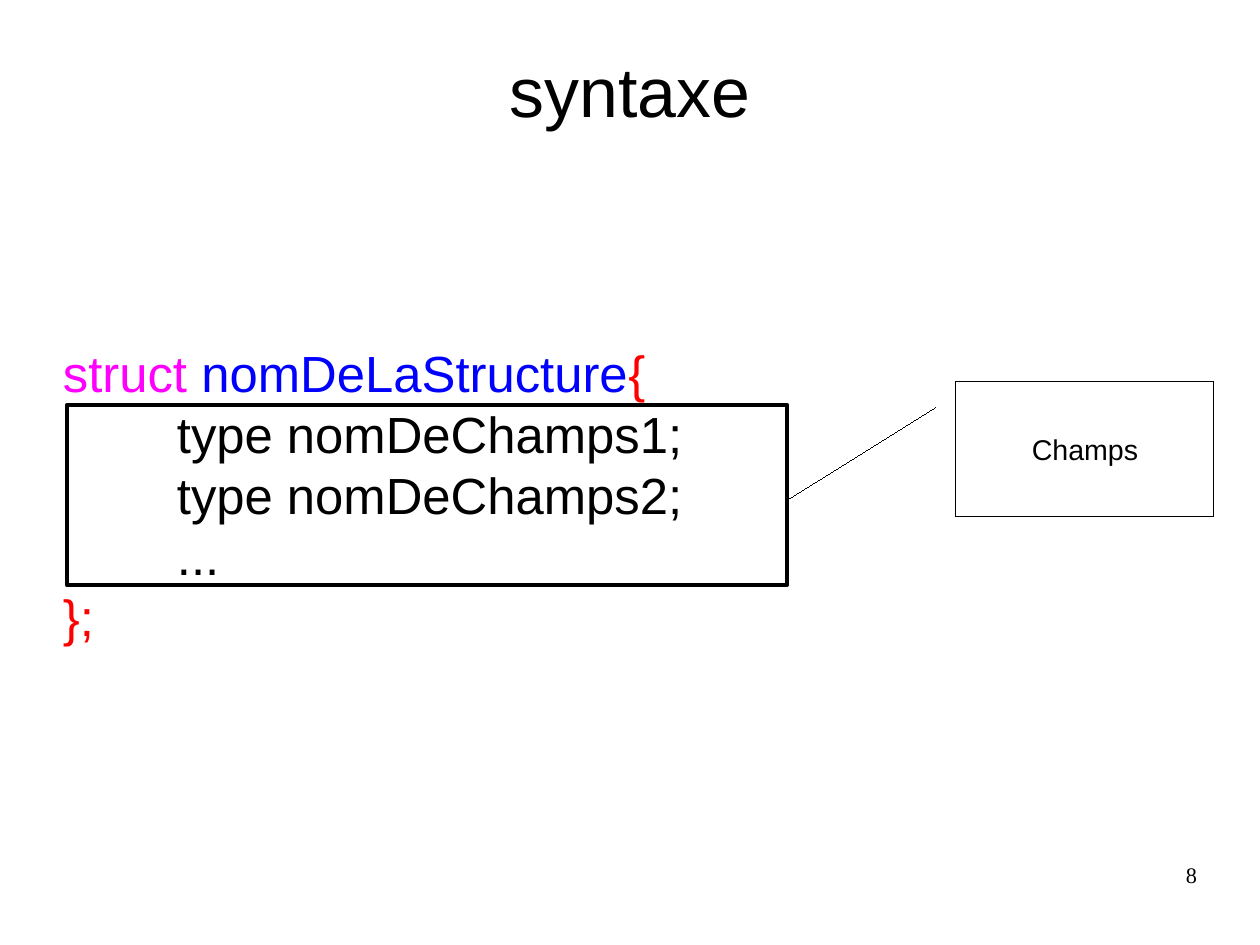
from dataclasses import dataclass

from lxml import etree
from pptx import Presentation
from pptx import util as u
from pptx.dml import color
from pptx.enum import shapes, text
from pptx.oxml import ns

PX = 8000
HAIRLINE = 0.01
BLACK, RED, BLUE, MAGENTA, WHITE = "000000", "FF0000", "0000FF", "FF00FF", "FFFFFF"


@dataclass(frozen=True)
class Area:
    left: int
    top: int
    width: int
    height: int

    def emu(self) -> tuple[int, ...]:
        return tuple(side * PX for side in (self.left, self.top, self.width, self.height))


@dataclass(frozen=True)
class Span:
    wording: str
    ink: str = BLACK


@dataclass(frozen=True)
class Style:
    size: int
    font: str = "Arial"
    align: text.PP_ALIGN = text.PP_ALIGN.LEFT
    anchor: text.MSO_ANCHOR = text.MSO_ANCHOR.MIDDLE
    tab: int = 0
    wrap: bool = True
    margin_x: int = 0
    margin_y: int = 0


@dataclass(frozen=True)
class TextBox:
    area: Area
    lines: list[list[Span]]
    style: Style


@dataclass(frozen=True)
class Outline:
    kind: shapes.MSO_SHAPE
    area: Area
    width: float
    fill: str = ""
    adjustments: tuple[float, ...] = ()


TITLE = TextBox(
    Area(63, 36, 1134, 107), [[Span("syntaxe")]], Style(44, align=text.PP_ALIGN.CENTER)
)
CODE = TextBox(
    Area(63, 221, 1134, 547),
    [
        [Span("struct ", MAGENTA), Span("nomDeLaStructure", BLUE), Span("{", RED)],
        [Span("\ttype nomDeChamps1;")],
        [Span("\ttype nomDeChamps2;")],
        [Span("\t...")],
        [Span("};", RED)],
    ],
    Style(32, tab=114),
)
NUMBER = TextBox(
    Area(903, 861, 294, 65),
    [[Span("8")]],
    Style(14, "Times New Roman", text.PP_ALIGN.RIGHT, text.MSO_ANCHOR.TOP),
)
FIELDS_FRAME = Outline(shapes.MSO_SHAPE.RECTANGLE, Area(67, 405, 720, 180), 2.83)
FIELDS_CALLOUT = Outline(
    shapes.MSO_SHAPE.LINE_CALLOUT_1, Area(956, 382, 258, 135), HAIRLINE, WHITE,
    (0.19, -0.08, 0.87, -0.65),
)
CALLOUT_STYLE = Style(18, align=text.PP_ALIGN.CENTER, wrap=False, margin_x=11, margin_y=6)


def rgb(value: str) -> color.RGBColor:
    return color.RGBColor.from_string(value)


def apply(target, values: dict) -> None:
    for name, value in values.items():
        setattr(target, name, value)


def write(frame, lines: list[list[Span]], style: Style) -> None:
    apply(frame, {
        "word_wrap": style.wrap,
        "vertical_anchor": style.anchor,
        "margin_left": style.margin_x * PX,
        "margin_right": style.margin_x * PX,
        "margin_top": style.margin_y * PX,
        "margin_bottom": style.margin_y * PX,
    })
    for index, line in enumerate(lines):
        para = frame.add_paragraph() if index else frame.paragraphs[0]
        para.alignment = style.align
        if style.tab:
            stops = etree.SubElement(para._p.get_or_add_pPr(), ns.qn("a:tabLst"))
            etree.SubElement(stops, ns.qn("a:tab"), pos=str(style.tab * PX), algn="l")
        for span in line:
            run = para.add_run()
            run.text = span.wording
            apply(run.font, {"name": style.font, "size": u.Pt(style.size)})
            run.font.color.rgb = rgb(span.ink)


def draw_text(page, item: TextBox) -> None:
    box = page.shapes.add_textbox(*item.area.emu())
    write(box.text_frame, item.lines, item.style)


def draw_outline(page, item: Outline):
    shape = page.shapes.add_shape(item.kind, *item.area.emu())
    shape.shadow.inherit = False
    for index, value in enumerate(item.adjustments):
        shape.adjustments[index] = value
    if item.fill:
        shape.fill.solid()
        shape.fill.fore_color.rgb = rgb(item.fill)
    else:
        shape.fill.background()
    shape.line.color.rgb = rgb(BLACK)
    shape.line.width = u.Pt(item.width)
    return shape


def main() -> None:
    deck = Presentation()
    apply(deck, {"slide_width": 1260 * PX, "slide_height": 945 * PX})
    page = deck.slides.add_slide(deck.slide_layouts[6])
    draw_text(page, TITLE)
    draw_text(page, CODE)
    draw_outline(page, FIELDS_FRAME)
    callout = draw_outline(page, FIELDS_CALLOUT)
    write(callout.text_frame, [[Span("Champs")]], CALLOUT_STYLE)
    draw_text(page, NUMBER)
    deck.save("out.pptx")


if __name__ == "__main__":
    main()
